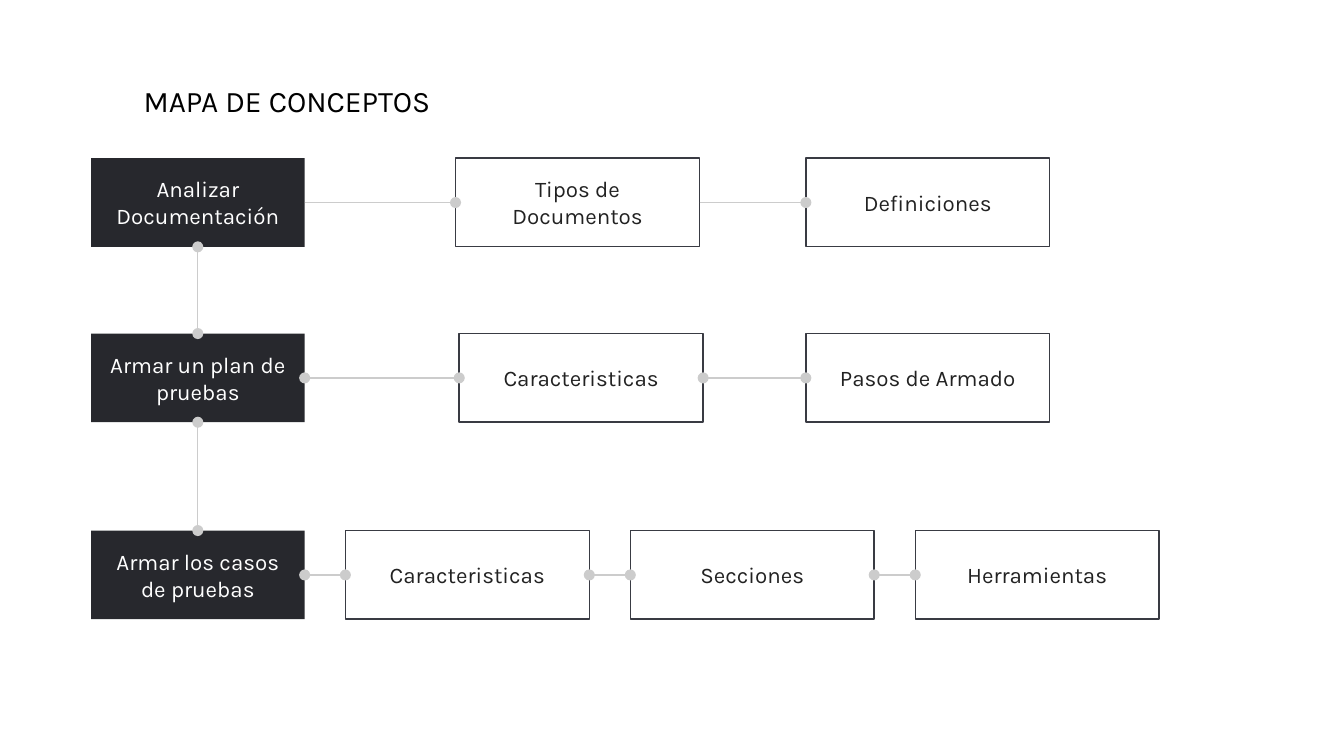
import pptx
import pptx.dml.color
import pptx.enum.dml
import pptx.enum.shapes
import pptx.enum.text
import pptx.oxml
import pptx.oxml.ns
import pptx.util

# Colours
WHITE = pptx.dml.color.RGBColor(0xFF, 0xFF, 0xFF)
BLACK = pptx.dml.color.RGBColor(0x00, 0x00, 0x00)
DARK = pptx.dml.color.RGBColor(0x27, 0x28, 0x2D)
BORDER = pptx.dml.color.RGBColor(0x39, 0x3B, 0x43)
INK = pptx.dml.color.RGBColor(0x22, 0x22, 0x22)
LINK = pptx.dml.color.RGBColor(0xCC, 0xCC, 0xCC)

# A 16:9 slide; lengths are shares of its width, in percent
SLIDE_WIDTH = pptx.util.Inches(10)
SLIDE_HEIGHT = SLIDE_WIDTH * 9 // 16
STEP_LEFT = 6.77
STEP_WIDTH = 15.9
CONCEPT_WIDTH = 18.15
BOX_HEIGHT = 6.6
LINE_WIDTH = pptx.util.Pt(0.75)

# Connection sites of a rectangle
TOP, LEFT, BOTTOM, RIGHT = range(4)

STRAIGHT = pptx.enum.shapes.MSO_CONNECTOR.STRAIGHT
ELBOW = pptx.enum.shapes.MSO_CONNECTOR.ELBOW
BOTH_DOTS = ("headEnd", "tailEnd")
END_DOT = ("tailEnd",)

# Each row: top, step, concepts with their left edges, connector type, dots
ROWS = [
    (11.77, "Analizar Documentación",
     [(33.9, "Tipos de Documentos"), (59.96, "Definiciones")], ELBOW, END_DOT),
    (24.82, "Armar un plan de pruebas",
     [(34.17, "Caracteristicas"), (59.96, "Pasos de Armado")],
     STRAIGHT, BOTH_DOTS),
    (39.48, "Armar los casos de pruebas",
     [(25.7 + 21.2 * column, text) for column, text in
      enumerate(["Caracteristicas", "Secciones", "Herramientas"])],
     STRAIGHT, BOTH_DOTS),
]


def share(percent):
    return round(SLIDE_WIDTH * percent / 100)


def set_attributes(target, values):
    for name, value in values.items():
        setattr(target, name, value)


def write_text(shape, text, size, color, alignment, anchor):
    frame = shape.text_frame
    margins = {f"margin_{side}": pptx.util.Inches(0.1)
               for side in ("left", "top", "right", "bottom")}
    set_attributes(frame, {"word_wrap": True, "vertical_anchor": anchor, **margins})
    paragraph = frame.paragraphs[0]
    paragraph.alignment = alignment
    run = paragraph.add_run()
    run.text = text
    set_attributes(run.font, {"name": "Karla", "size": pptx.util.Pt(size)})
    run.font.color.rgb = color


def add_title(slide, text):
    shape = slide.shapes.add_textbox(*map(share, (9.7, 5.15, 26.9, 4.7)))
    write_text(shape, text, 16, BLACK, pptx.enum.text.PP_ALIGN.LEFT,
               pptx.enum.text.MSO_ANCHOR.TOP)
    shape.text_frame.auto_size = pptx.enum.text.MSO_AUTO_SIZE.SHAPE_TO_FIT_TEXT


def add_box(slide, left, top, width, text, color):
    shape = slide.shapes.add_shape(
        pptx.enum.shapes.MSO_SHAPE.RECTANGLE,
        *map(share, (left, top, width, BOX_HEIGHT)))
    shape.shadow.inherit = False
    write_text(shape, text, 12, color, pptx.enum.text.PP_ALIGN.CENTER,
               pptx.enum.text.MSO_ANCHOR.MIDDLE)
    return shape


def add_step(slide, top, text):
    shape = add_box(slide, STEP_LEFT, top, STEP_WIDTH, text, WHITE)
    shape.fill.solid()
    shape.fill.fore_color.rgb = DARK
    shape.line.fill.background()
    return shape


def add_concept(slide, left, top, text):
    shape = add_box(slide, left, top, CONCEPT_WIDTH, text, INK)
    shape.fill.background()
    shape.line.color.rgb = BORDER
    shape.line.width = LINE_WIDTH
    return shape


def add_link(slide, start, start_site, end, end_site, kind, dots):
    connector = slide.shapes.add_connector(kind, 0, 0, 0, 0)
    connector.begin_connect(start, start_site)
    connector.end_connect(end, end_site)
    connector.line.color.rgb = LINK
    connector.line.width = LINE_WIDTH
    # Round line ends, and no shadow
    line = connector.line._get_or_add_ln()
    for name in dots:
        line.append(pptx.oxml.parse_xml(
            f'<a:{name} {pptx.oxml.ns.nsdecls("a")} type="oval" w="med" len="med"/>'))
    connector._element.spPr.append(pptx.oxml.parse_xml(
        f'<a:effectLst {pptx.oxml.ns.nsdecls("a")}/>'))


def add_row(slide, top, step_text, concepts, kind, dots):
    step = add_step(slide, top, step_text)
    previous = step
    for left, text in concepts:
        concept = add_concept(slide, left, top, text)
        add_link(slide, previous, RIGHT, concept, LEFT, kind, dots)
        previous = concept
    return step


def main():
    presentation = pptx.Presentation()
    set_attributes(presentation, {"slide_width": SLIDE_WIDTH,
                                  "slide_height": SLIDE_HEIGHT})
    slide = presentation.slides.add_slide(presentation.slide_layouts[6])

    add_title(slide, "MAPA DE CONCEPTOS")

    # Rows of concepts, then the links down the column of steps
    steps = [add_row(slide, *row) for row in ROWS]
    for upper, lower in zip(steps, steps[1:]):
        add_link(slide, upper, BOTTOM, lower, TOP, STRAIGHT, BOTH_DOTS)

    presentation.save("out.pptx")


if __name__ == "__main__":
    main()
